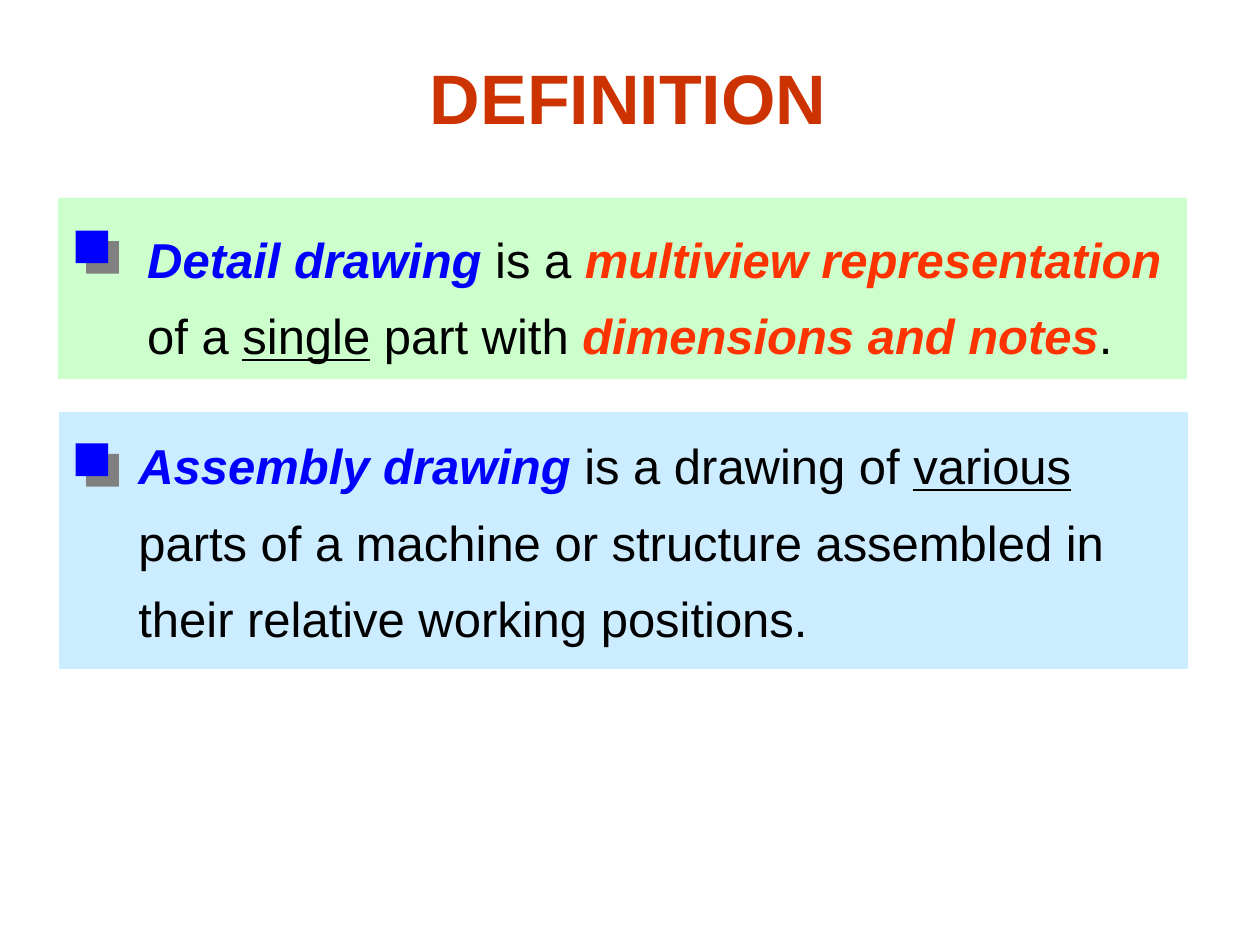
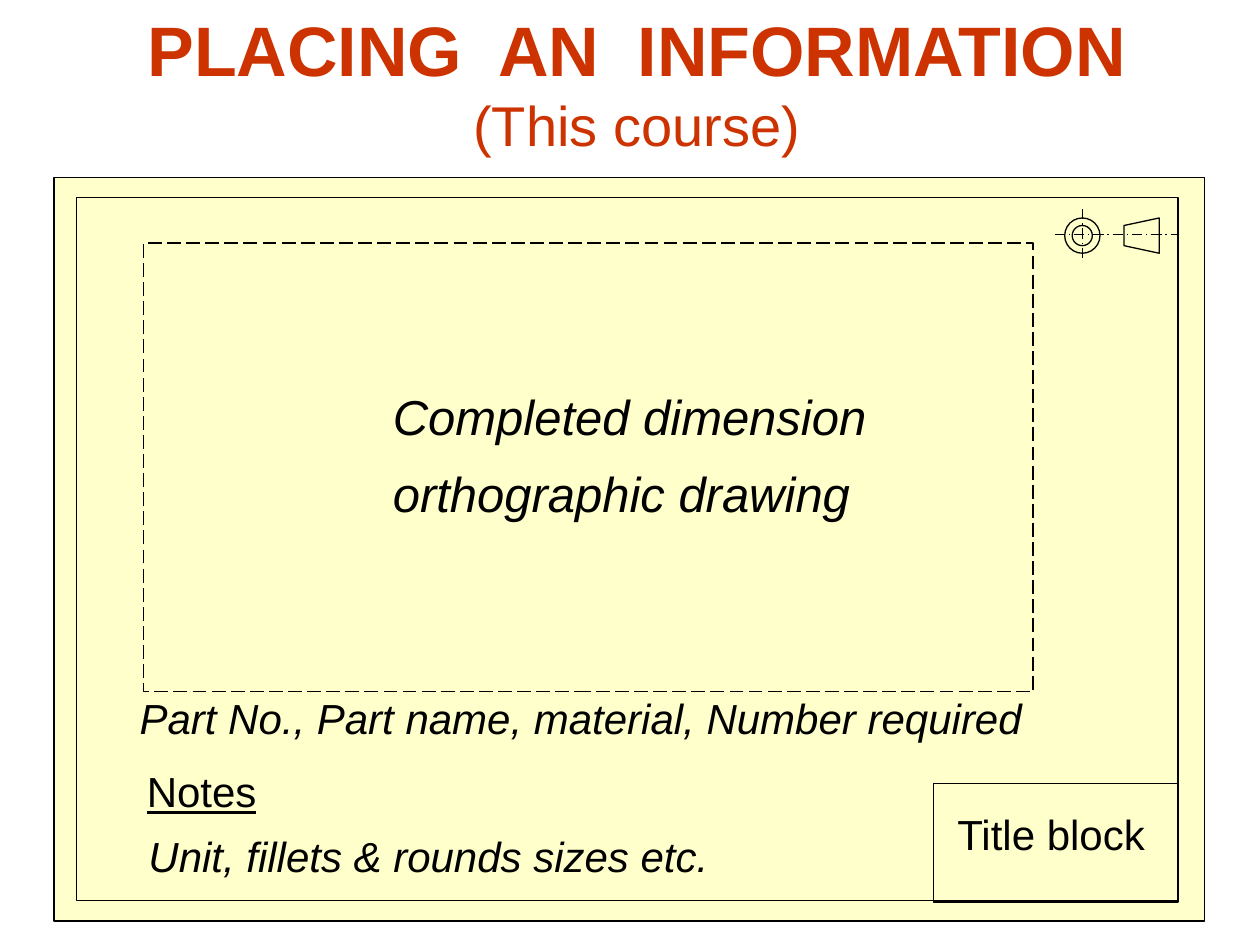
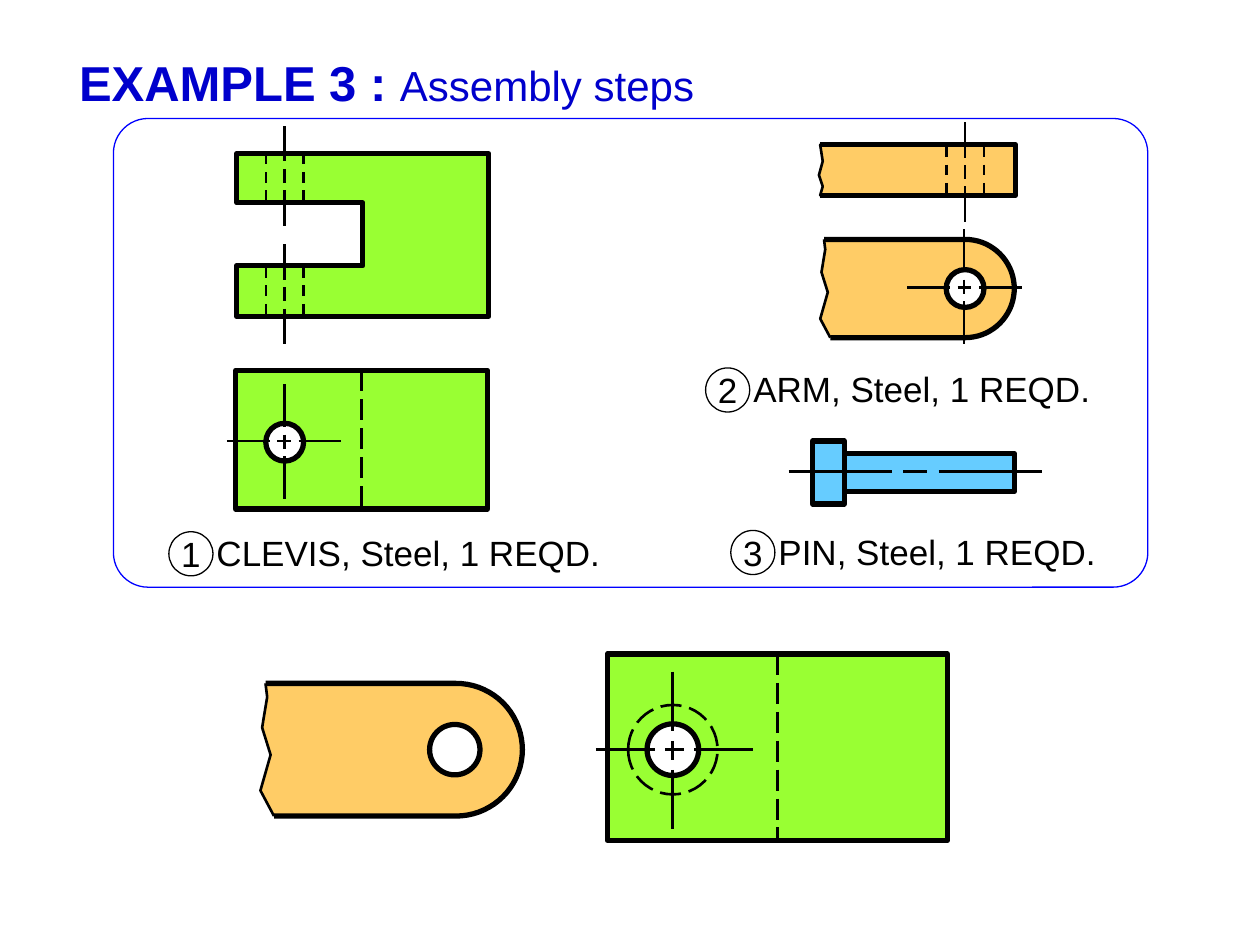
import math
import pptx
import pptx.dml.color
import pptx.enum.dml
import pptx.enum.shapes
import pptx.enum.text
import pptx.oxml
import pptx.shapes.connector
import pptx.util

RGBColor = pptx.dml.color.RGBColor
Inches = pptx.util.Inches

BLACK = RGBColor(0x00, 0x00, 0x00)
WHITE = RGBColor(0xFF, 0xFF, 0xFF)
BLUE = RGBColor(0x00, 0x00, 0xFF)
DARK_BLUE = RGBColor(0x00, 0x00, 0xCC)
TITLE_RED = RGBColor(0xCC, 0x33, 0x00)
KEY_RED = RGBColor(0xFF, 0x33, 0x00)
PALE_BLUE = RGBColor(0xCC, 0xEC, 0xFF)
PALE_GREEN = RGBColor(0xCC, 0xFF, 0xCC)
PALE_YELLOW = RGBColor(0xFF, 0xFF, 0xCC)
CLEVIS_GREEN = RGBColor(0x99, 0xFF, 0x33)
ARM_ORANGE = RGBColor(0xFF, 0xCC, 0x66)
PIN_BLUE = RGBColor(0x66, 0xCC, 0xFF)

FONT = "Arial"
THIN, MEDIUM, THICK = 0.75, 1.5, 3
DASH = pptx.enum.dml.MSO_LINE.DASH
LONG_DASH = pptx.enum.dml.MSO_LINE.LONG_DASH
LONG_DASH_DOT = pptx.enum.dml.MSO_LINE.LONG_DASH_DOT
RECTANGLE = pptx.enum.shapes.MSO_SHAPE.RECTANGLE
ROUNDED = pptx.enum.shapes.MSO_SHAPE.ROUNDED_RECTANGLE
OVAL = pptx.enum.shapes.MSO_SHAPE.OVAL
STRAIGHT = pptx.enum.shapes.MSO_CONNECTOR.STRAIGHT
CENTER = pptx.enum.text.PP_ALIGN.CENTER
LEFT = pptx.enum.text.PP_ALIGN.LEFT
DRAWING_NAMESPACE = "http://schemas.openxmlformats.org/drawingml/2006/main"


def paint(shape, fill=None, width=None, dash=None):
    if width is None:
        shape.line.fill.background()
    else:
        shape.line.color.rgb = BLACK
        shape.line.width = pptx.util.Pt(width)
        if dash is not None:
            shape.line.dash_style = dash
    if isinstance(shape, pptx.shapes.connector.Connector):
        shape.element.spPr.append(pptx.oxml.parse_xml(f'<a:effectLst xmlns:a="{DRAWING_NAMESPACE}"/>'))
        return
    shape.shadow.inherit = False
    if fill is None:
        shape.fill.background()
    else:
        shape.fill.solid()
        shape.fill.fore_color.rgb = fill


def write(shape, paragraphs, alignment=LEFT, line_spacing=1.0):
    frame = shape.text_frame
    frame.word_wrap = True
    for index, runs in enumerate(paragraphs):
        paragraph = frame.add_paragraph() if index else frame.paragraphs[0]
        paragraph.alignment = alignment
        paragraph.line_spacing = line_spacing
        for text, size, color, style in runs:
            run = paragraph.add_run()
            run.text = text
            run.font.name = FONT
            run.font.size = pptx.util.Pt(size)
            run.font.color.rgb = color
            run.font.bold = "b" in style
            run.font.italic = "i" in style
            run.font.underline = "u" in style


presentation = pptx.Presentation()
presentation.slide_width = Inches(10)
presentation.slide_height = Inches(7.5)
blank = presentation.slide_layouts[6]

slide = presentation.slides.add_slide(blank)
title = slide.shapes.add_textbox(Inches(1.93), Inches(0.38), Inches(6.11), Inches(0.77))
write(title, [[("DEFINITION", 40, TITLE_RED, "b")]], CENTER)

detail_definition = [[
    ("Detail drawing", 28, BLUE, "bi"),
    (" is a ", 28, BLACK, ""),
    ("multiview representation ", 28, KEY_RED, "bi"),
    ("of a ", 28, BLACK, ""),
    ("single", 28, BLACK, "u"),
    (" part with ", 28, BLACK, ""),
    ("dimensions and notes", 28, KEY_RED, "bi"),
    (".", 28, BLACK, ""),
]]
assembly_definition = [
    [
        ("Assembly drawing", 28, BLUE, "bi"),
        (" is a drawing of ", 28, BLACK, ""),
        ("various", 28, BLACK, "u"),
    ],
    [("parts of a machine or structure assembled in their relative working positions.", 28, BLACK, "")],
]
definitions = [
    (PALE_GREEN, (0.46, 1.57, 8.96, 1.44), (1.07, 1.63, 8.29, 1.32), 1.83, detail_definition),
    (PALE_BLUE, (0.47, 3.27, 8.96, 2.04), (1, 3.27, 8.12, 1.92), 3.52, assembly_definition),
]
for color, panel_box, text_box, marker_top, paragraphs in definitions:
    panel = slide.shapes.add_shape(RECTANGLE, *map(Inches, panel_box))
    paint(panel, color)
    definition = slide.shapes.add_textbox(*map(Inches, text_box))
    write(definition, paragraphs, line_spacing=1.3)
    marker = slide.shapes.add_shape(RECTANGLE, Inches(0.6), Inches(marker_top), Inches(0.26), Inches(0.26))
    paint(marker, BLUE)
    effects = marker.element.spPr.find(f"{{{DRAWING_NAMESPACE}}}effectLst")
    effects.append(pptx.oxml.parse_xml(
        f'<a:outerShdw xmlns:a="{DRAWING_NAMESPACE}" dist="107950" dir="2700000" algn="ctr" '
        'rotWithShape="0"><a:srgbClr val="808080"/></a:outerShdw>'))

slide = presentation.slides.add_slide(blank)
sheet_shapes = [
    (RECTANGLE, (0.43, 1.41, 9.13, 5.9), PALE_YELLOW, THIN, None),
    (RECTANGLE, (0.61, 1.57, 8.74, 5.58), None, THIN, None),
    (RECTANGLE, (7.41, 6.22, 1.94, 0.94), None, THIN, None),
    (RECTANGLE, (1.14, 1.93, 7.06, 3.56), None, 1, LONG_DASH),
    (OVAL, (8.51, 1.79, 0.16, 0.16), None, THIN, None),
    (OVAL, (8.45, 1.73, 0.28, 0.28), None, THIN, None),
]
for kind, box, fill, width, dash in sheet_shapes:
    shape = slide.shapes.add_shape(kind, *map(Inches, box))
    paint(shape, fill, width, dash)

builder = slide.shapes.build_freeform(Inches(9.2), Inches(1.73))
builder.add_line_segments([(Inches(x), Inches(y)) for x, y in [(9.2, 2.01), (8.92, 1.95), (8.92, 1.79)]])
paint(builder.convert_to_shape(), None, THIN)
for ends in [(8.37, 1.86, 9.35, 1.86), (8.59, 1.66, 8.59, 2.07)]:
    axis = slide.shapes.add_connector(STRAIGHT, *map(Inches, ends))
    paint(axis, width=THIN, dash=LONG_DASH_DOT)

sheet_texts = [
    ((1.04, 0, 8.03, 1.3), CENTER, 1.0, [
        [("PLACING  AN  INFORMATION", 40, TITLE_RED, "b")],
        [("(This course)", 32, TITLE_RED, "")],
    ]),
    ((3.02, 2.88, 4.2, 1.32), LEFT, 1.3, [
        [("Completed dimension", 28, BLACK, "i")],
        [("orthographic drawing", 28, BLACK, "i")],
    ]),
    ((1.01, 5.45, 7.67, 0.5), LEFT, 1.0, [[("Part No., Part name, material, Number required", 24, BLACK, "i")]]),
    ((0.94, 6.03, 1.32, 0.5), CENTER, 1.0, [[("Notes", 24, BLACK, "u")]]),
    ((1.08, 6.54, 4.9, 0.5), LEFT, 1.0, [[("Unit, fillets & rounds sizes etc.", 24, BLACK, "i")]]),
    ((7.5, 6.37, 1.8, 0.5), LEFT, 1.0, [[("Title block", 24, BLACK, "")]]),
]
for box, alignment, line_spacing, paragraphs in sheet_texts:
    write(slide.shapes.add_textbox(*map(Inches, box)), paragraphs, alignment, line_spacing)

slide = presentation.slides.add_slide(blank)
title = slide.shapes.add_textbox(Inches(0.53), Inches(0.37), Inches(5.3), Inches(0.57))
write(title, [[("EXAMPLE 3 : ", 28, DARK_BLUE, "b"), ("Assembly steps", 24, DARK_BLUE, "")]])

frame = slide.shapes.add_shape(ROUNDED, Inches(0.9), Inches(0.94), Inches(8.21), Inches(3.72))
frame.adjustments[0] = 0.074
paint(frame, None, THIN)
frame.line.color.rgb = BLUE

for box in [(6.7, 3.6, 1.35, 0.3), (6.45, 3.5, 0.25, 0.5)]:
    pin_part = slide.shapes.add_shape(RECTANGLE, *map(Inches, box))
    paint(pin_part, PIN_BLUE, THICK)

for box in [(1.87, 2.94, 2, 1.1), (4.82, 5.19, 2.7, 1.48)]:
    clevis = slide.shapes.add_shape(RECTANGLE, *map(Inches, box))
    paint(clevis, CLEVIS_GREEN, THICK)
    slot_edge = slide.shapes.add_connector(STRAIGHT, 0, 0, 0, 0)
    slot_edge.begin_connect(clevis, 0)
    slot_edge.end_connect(clevis, 2)
    paint(slot_edge, width=MEDIUM, dash=LONG_DASH)

clevis_outline = [(1.88, 1.22), (3.88, 1.22), (3.88, 2.51), (1.88, 2.51),
                  (1.88, 2.11), (2.88, 2.11), (2.88, 1.61), (1.88, 1.61)]
arm_side = [(6.51, 1.15), (8.06, 1.15), (8.06, 1.55), (6.51, 1.55), (6.53, 1.48), (6.5, 1.39), (6.53, 1.28)]
outlines = [
    (clevis_outline, True, CLEVIS_GREEN, THICK),
    (arm_side, True, ARM_ORANGE, MEDIUM),
    (arm_side[:4], False, None, THICK),
]
ARM_RADIUS = 0.39
ARM_BREAK = [(-1.07, 0.39), (-1.15, 0.24), (-1.09, 0.03), (-1.14, -0.13), (-1.11, -0.31), (-1.12, -0.39)]
arms = [(7.66, 2.29, 1), (3.62, 5.95, 1.35)]
for center_x, center_y, scale in arms:
    broken_end = [(center_x + x * scale, center_y + y * scale) for x, y in ARM_BREAK]
    radius = ARM_RADIUS * scale
    angles = [math.radians(degrees) for degrees in range(-90, 91, 5)]
    rounded_end = [(center_x + radius * math.cos(a), center_y + radius * math.sin(a)) for a in angles]
    outlines += [
        (broken_end + rounded_end, True, ARM_ORANGE, None),
        (broken_end[-1:] + rounded_end + broken_end[:1], False, None, THICK),
        (broken_end, False, None, MEDIUM),
    ]
for points, closed, fill, width in outlines:
    corners = [(Inches(x), Inches(y)) for x, y in points]
    builder = slide.shapes.build_freeform(*corners[0])
    builder.add_line_segments(corners[1:], close=closed)
    paint(builder.convert_to_shape(), fill, width)

circles = [
    (2.26, 3.51, 0.3, WHITE, THICK, None),
    (7.66, 2.29, 0.3, WHITE, THICK, None),
    (3.61, 5.95, 0.4, WHITE, THICK, None),
    (5.34, 5.95, 0.41, WHITE, THICK, None),
    (5.34, 5.95, 0.71, None, MEDIUM, LONG_DASH),
]
for center_x, center_y, diameter, fill, width, dash in circles:
    box = (center_x - diameter / 2, center_y - diameter / 2, diameter, diameter)
    circle = slide.shapes.add_shape(OVAL, *map(Inches, box))
    paint(circle, fill, width, dash)

for left, top, bottom in [(2.11, 1.22, 1.61), (2.11, 2.12, 2.51), (7.51, 1.16, 1.56)]:
    for x in (left, left + 0.3):
        hole_edge = slide.shapes.add_connector(STRAIGHT, *map(Inches, (x, top, x, bottom)))
        paint(hole_edge, width=MEDIUM, dash=DASH)

center_lines = [
    ("vertical", 2.26, 1, 0.28, 0.06, 0.11),
    ("vertical", 2.26, 1.94, 0.28, 0.06, 0.11),
    ("vertical", 7.66, 0.97, 0.28, 0.06, 0.11),
    ("vertical", 2.26, 3.05, 0.34, 0.06, 0.11),
    ("horizontal", 3.5, 1.8, 0.34, 0.06, 0.11),
    ("vertical", 7.65, 1.82, 0.34, 0.06, 0.11),
    ("horizontal", 2.28, 7.2, 0.34, 0.06, 0.11),
    ("vertical", 5.34, 5.33, 0.47, 0.08, 0.15),
    ("horizontal", 5.95, 4.73, 0.47, 0.08, 0.15),
    ("horizontal", 3.74, 6.26, 0.82, 0.09, 0.19),
]
for direction, position, start, long, gap, short in center_lines:
    for length in (long, short, long):
        end = start + length
        if direction == "vertical":
            ends = (position, start, position, end)
        else:
            ends = (start, position, end, position)
        paint(slide.shapes.add_connector(STRAIGHT, *map(Inches, ends)), width=MEDIUM)
        start = end + gap

part_labels = [
    ("1", "CLEVIS, Steel, 1 REQD.", 1.34, 4.22, 3.5),
    ("2", "ARM, Steel, 1 REQD.", 5.6, 2.92, 3.15),
    ("3", "PIN, Steel, 1 REQD.", 5.8, 4.21, 3),
]
for number, name, left, top, width in part_labels:
    balloon = slide.shapes.add_shape(OVAL, Inches(left), Inches(top), Inches(0.35), Inches(0.35))
    paint(balloon, None, THIN)
    margins = balloon.text_frame
    margins.margin_left = margins.margin_right = margins.margin_top = margins.margin_bottom = 0
    write(balloon, [[(number, 20, BLACK, "")]], CENTER)
    label = slide.shapes.add_textbox(Inches(left + 0.28), Inches(top - 0.05), Inches(width), Inches(0.44))
    write(label, [[(name, 20, BLACK, "")]])

presentation.save("out.pptx")
